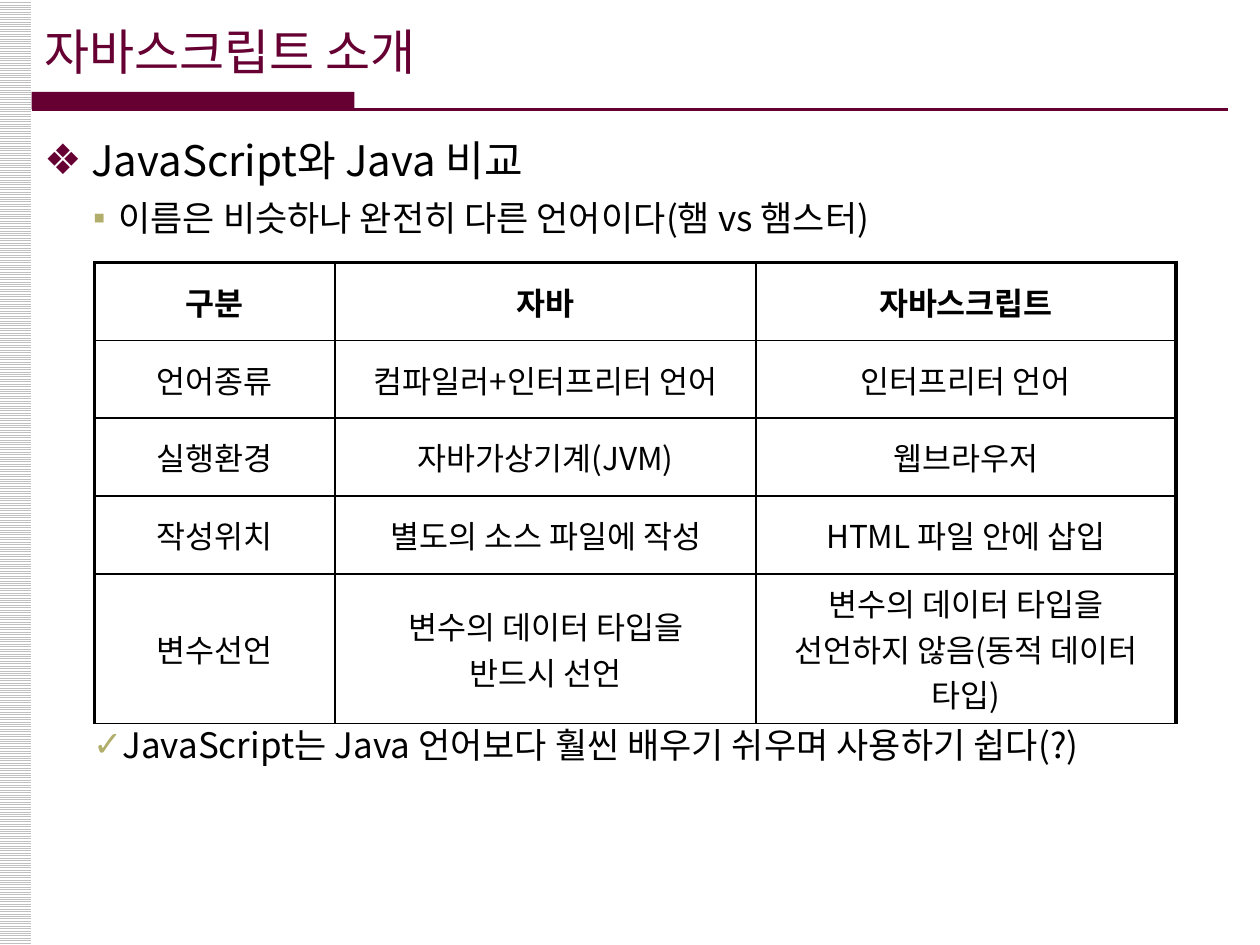
"""Build a slide comparing JavaScript with Java."""
import pptx
import pptx.util
import pptx.dml.color
import pptx.enum.dml
import pptx.enum.shapes
import pptx.enum.text
import pptx.oxml
import pptx.oxml.ns
import lxml.etree

Pt = pptx.util.Pt
qn = pptx.oxml.ns.qn
RGBColor = pptx.dml.color.RGBColor
WINE = RGBColor(0x66, 0x00, 0x33)
OLIVE = RGBColor(0xB1, 0xAE, 0x6B)
SILVER = RGBColor(0xC0, 0xC0, 0xC0)
BLACK = RGBColor(0, 0, 0)
WHITE = RGBColor(0xFF, 0xFF, 0xFF)
FONT = "Noto Sans CJK KR"

ITEMS = [
    (0, "JavaScript와 Java 비교", 24, "❖", WINE, 27, 0),
    (1, "이름은 비슷하나 완전히 다른 언어이다(햄 vs 햄스터)", 20, "▪", OLIVE, 14.5, 6.5),
    (1, "JavaScript는 Java 언어보다 훨씬 배우기 쉬우며 사용하기 쉽다(?)", 20, "✓", OLIVE, 14.5, 274),
]
ROWS = [
    ("구분", "자바", "자바스크립트"),
    ("언어종류", "컴파일러+인터프리터 언어", "인터프리터 언어"),
    ("실행환경", "자바가상기계(JVM)", "웹브라우저"),
    ("작성위치", "별도의 소스 파일에 작성", "HTML 파일 안에 삽입"),
    ("변수선언", "변수의 데이터 타입을\v반드시 선언", "변수의 데이터 타입을 선언하지 않음(동적 데이터 타입)"),
]
COLUMN_WIDTHS = (137.5, 240.5, 240)
ROW_HEIGHTS = (44.5, 44.5, 44.5, 44.5, 85)


class SlideBuilder:
    """Hold the style and the current slide."""

    def __init__(self, deck):
        self.page = deck.slides.add_slide(deck.slide_layouts[1])

    def style(self, para, size, color=BLACK, bold=False):
        font = para.font
        font.size, font.bold, font.name = Pt(size), bold, FONT
        font.color.rgb = color
        properties = para._p.pPr.find(qn("a:defRPr"))
        lxml.etree.SubElement(properties, qn("a:ea"), typeface=FONT)

    def place(self, box, left, top, width, height):
        box.left, box.top, box.width, box.height = map(Pt, (left, top, width, height))
        box.text_frame.word_wrap = True
        box.text_frame.auto_size = pptx.enum.text.MSO_AUTO_SIZE.NONE

    def bar(self, left, top, width, height, color, striped=False):
        box = self.page.shapes.add_shape(
            pptx.enum.shapes.MSO_SHAPE.RECTANGLE, Pt(left), Pt(top), Pt(width), Pt(height))
        box.shadow.inherit = False
        box.line.fill.background()
        if striped:
            box.fill.patterned()
            box.fill.pattern = pptx.enum.dml.MSO_PATTERN.LIGHT_HORIZONTAL
            box.fill.fore_color.rgb, box.fill.back_color.rgb = color, WHITE
        else:
            box.fill.solid()
            box.fill.fore_color.rgb = color

    def rule(self, left, right, height, color):
        line = self.page.shapes.add_connector(
            pptx.enum.shapes.MSO_CONNECTOR.STRAIGHT, Pt(left), Pt(height), Pt(right), Pt(height))
        line.line.color.rgb, line.line.width = color, Pt(1.5)
        lxml.etree.SubElement(line._element.spPr, qn("a:effectLst"))

    def title(self, text):
        box = self.page.shapes.title
        self.place(box, 18, 6.5, 595.5, 45.5)
        box.text_frame.vertical_anchor = pptx.enum.text.MSO_ANCHOR.MIDDLE
        para = box.text_frame.paragraphs[0]
        para.text = text
        para.alignment = pptx.enum.text.PP_ALIGN.LEFT
        self.style(para, 28, WINE)

    def bullets(self, items):
        box = self.page.placeholders[1]
        self.place(box, 18, 73.5, 684, 450)
        frame = box.text_frame
        for index, (level, text, size, mark, color, hanging, before) in enumerate(items):
            para = frame.add_paragraph() if index else frame.paragraphs[0]
            para.text, para.level = text, level
            para.space_before, para.space_after = Pt(before), Pt(3 * level)
            para.line_spacing = 1.0
            properties = para._p.get_or_add_pPr()
            properties.set("marL", str(Pt(27 + level * 15.5)))
            properties.set("indent", str(-Pt(hanging)))
            tint = lxml.etree.SubElement(properties, qn("a:buClr"))
            lxml.etree.SubElement(tint, qn("a:srgbClr"), val=str(color))
            lxml.etree.SubElement(properties, qn("a:buChar"), char=mark)
            self.style(para, size)

    def border(self, cell, side, width):
        line = lxml.etree.SubElement(
            cell._tc.get_or_add_tcPr(), qn("a:ln" + side), w=str(Pt(width)))
        fill = lxml.etree.SubElement(line, qn("a:solidFill"))
        lxml.etree.SubElement(fill, qn("a:srgbClr"), val=str(BLACK))

    def table(self, left, top, rows, widths, heights):
        table = self.page.shapes.add_table(
            len(rows), len(widths), Pt(left), Pt(top), Pt(sum(widths)), Pt(sum(heights))).table
        table.first_row = table.horz_banding = False
        for column, width in zip(table.columns, widths):
            column.width = Pt(width)
        for row, height in zip(table.rows, heights):
            row.height = Pt(height)
        for y, texts in enumerate(rows):
            for x, text in enumerate(texts):
                cell = table.cell(y, x)
                outer = {"L": x == 0, "R": x == len(widths) - 1, "T": y == 0, "B": False}
                for side, thick in outer.items():
                    self.border(cell, side, 2.25 if thick else 1)
                cell.fill.solid()
                cell.fill.fore_color.rgb = WHITE
                cell.vertical_anchor = pptx.enum.text.MSO_ANCHOR.MIDDLE
                para = cell.text_frame.paragraphs[0]
                para.text = text
                para.alignment = pptx.enum.text.PP_ALIGN.CENTER
                self.style(para, 18, bold=y == 0)


def main():
    deck = pptx.Presentation()
    deck.slide_width, deck.slide_height = Pt(720), Pt(540)
    builder = SlideBuilder(deck)
    builder.bar(-0.5, 0, 18.5, 540, SILVER, striped=True)
    builder.bar(18, 52.5, 184.5, 10, WINE)
    builder.rule(18, 701.5, 62.5, WINE)
    builder.title("자바스크립트 소개")
    builder.bullets(ITEMS)
    builder.table(54, 150, ROWS, COLUMN_WIDTHS, ROW_HEIGHTS)
    deck.save("out.pptx")


if __name__ == "__main__":
    main()
